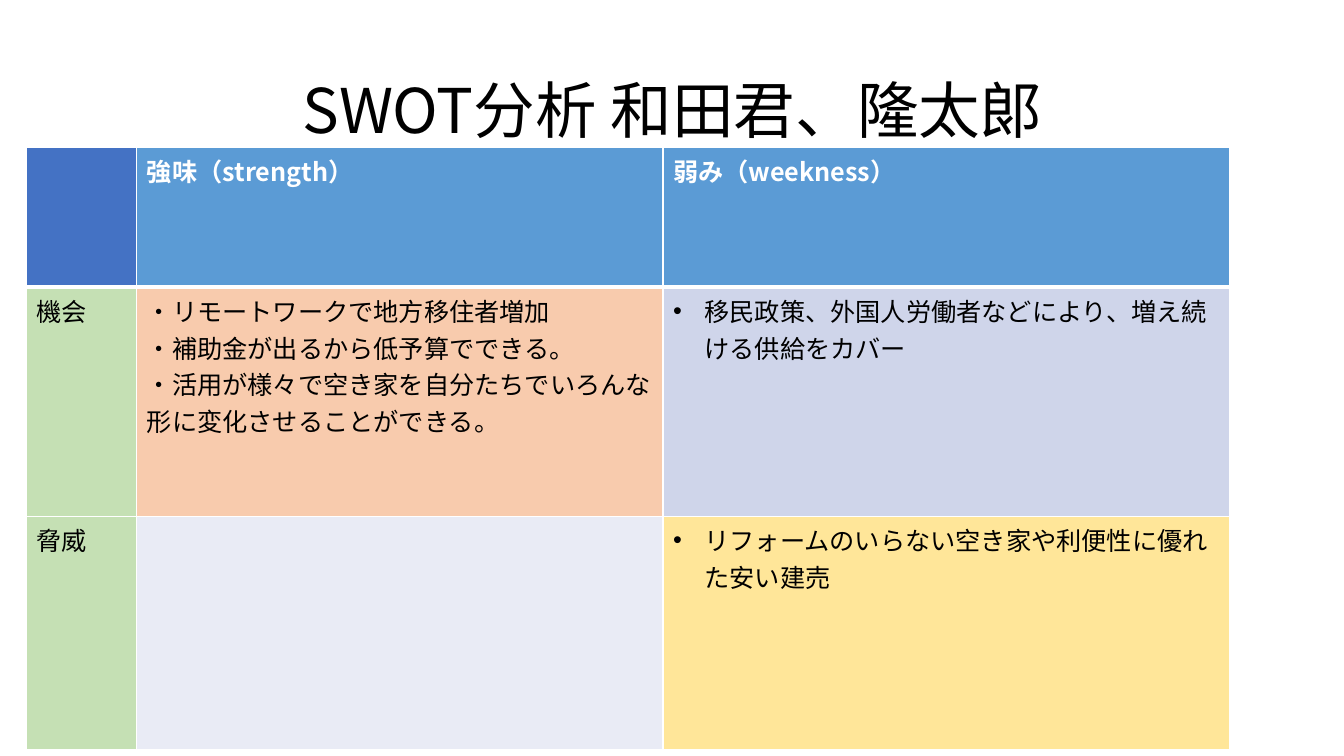
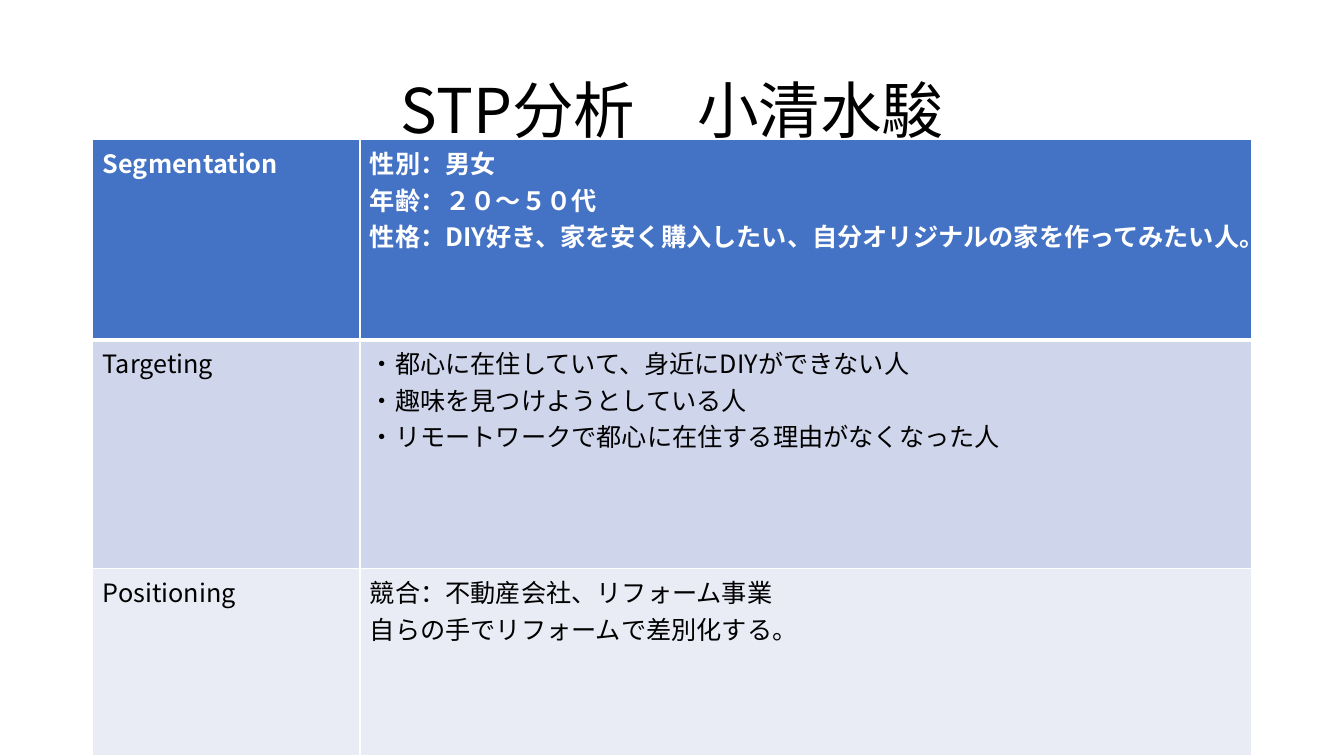
"""Build the SWOT and STP analysis slides."""
from dataclasses import dataclass

from lxml.etree import SubElement
from pptx import Presentation
from pptx.dml.color import RGBColor
from pptx.enum.text import MSO_ANCHOR, PP_ALIGN
from pptx.oxml.ns import qn
from pptx.util import Cm, Pt


@dataclass(frozen=True)
class Theme:
    font: str = "Noto Sans CJK JP"
    title_pt: int = 44
    body_pt: int = 18
    rule_pt: int = 1
    header_rule_pt: int = 3
    black: str = "000000"
    white: str = "FFFFFF"
    blue: str = "4472C4"
    sky: str = "5B9BD5"
    green: str = "C5E0B4"
    peach: str = "F8CBAD"
    yellow: str = "FFE699"
    band: str = "CFD5EA"
    pale: str = "E9EBF5"


T = Theme()
SLIDE_SIZE = (33.87, 19.05)
TITLE_BOX = (2.34, 1.02, 29.21, 3.68)
BULLET_INDENT = 0.79
BULLET = "• "

SLIDES = [
    {
        "title": "SWOT分析 和田君、隆太郎",
        "at": (0.66, 3.71),
        "cols": (2.79, 13.26, 14.27),
        "rows": (3.53, 5.77, 5.89),
        "cells": [
            [(T.blue, []), (T.sky, ["強味（strength）"]), (T.sky, ["弱み（weekness）"])],
            [
                (T.green, ["機会"]),
                (T.peach, [
                    "・リモートワークで地方移住者増加",
                    "・補助金が出るから低予算でできる。",
                    "・活用が様々で空き家を自分たちでいろんな形に変化させることができる。",
                ]),
                (T.band, ["• 移民政策、外国人労働者などにより、増え続ける供給をカバー"]),
            ],
            [
                (T.green, ["脅威"]),
                (T.pale, []),
                (T.yellow, ["• リフォームのいらない空き家や利便性に優れた安い建売"]),
            ],
        ],
    },
    {
        "title": "STP分析　小清水駿",
        "at": (2.34, 3.51),
        "cols": (6.73, 22.48),
        "rows": (5.05, 5.77, 4.72),
        "cells": [
            [
                (T.blue, ["Segmentation"]),
                (T.blue, [
                    "性別：男女",
                    "年齢：２０～５０代",
                    "性格：DIY好き、家を安く購入したい、自分オリジナルの家を作ってみたい人。",
                ]),
            ],
            [
                (T.band, ["Targeting"]),
                (T.band, [
                    "・都心に在住していて、身近にDIYができない人",
                    "・趣味を見つけようとしている人",
                    "・リモートワークで都心に在住する理由がなくなった人",
                ]),
            ],
            [
                (T.pale, ["Positioning"]),
                (T.pale, ["競合：不動産会社、リフォーム事業", "自らの手でリフォームで差別化する。"]),
            ],
        ],
    },
]


def add_text(p, text, size, color, bold=False):
    r = p.add_run()
    r.text = text
    r.font.name = T.font
    r.font.size = Pt(size)
    r.font.bold = bold
    r.font.color.rgb = RGBColor.from_string(color)
    SubElement(r.font._element, qn("a:ea"), typeface=T.font)


def add_bullet(p):
    pPr = p._p.get_or_add_pPr()
    pPr.set("marL", str(Cm(BULLET_INDENT)))
    pPr.set("indent", str(-Cm(BULLET_INDENT)))
    SubElement(pPr, qn("a:buFont"), typeface="Arial")
    SubElement(pPr, qn("a:buChar"), char=BULLET.strip())


def add_borders(cell, row):
    widths = {
        "L": T.rule_pt,
        "R": T.rule_pt,
        "T": T.header_rule_pt if row == 1 else T.rule_pt,
        "B": T.header_rule_pt if row == 0 else T.rule_pt,
    }
    tcPr = cell._tc.get_or_add_tcPr()
    for side, width in widths.items():
        ln = SubElement(tcPr, qn(f"a:ln{side}"), w=str(Pt(width)))
        fill = SubElement(ln, qn("a:solidFill"))
        SubElement(fill, qn("a:srgbClr"), val=T.white)


def fill_cell(cell, row, color, lines):
    add_borders(cell, row)
    cell.fill.solid()
    cell.fill.fore_color.rgb = RGBColor.from_string(color)
    header = row == 0
    tf = cell.text_frame
    for i, line in enumerate(lines):
        p = tf.add_paragraph() if i else tf.paragraphs[0]
        if line.startswith(BULLET):
            add_bullet(p)
        add_text(p, line.removeprefix(BULLET), T.body_pt,
                 T.white if header else T.black, header)


def add_title(s, text):
    sp = s.shapes.title
    sp.left, sp.top, sp.width, sp.height = map(Cm, TITLE_BOX)
    tf = sp.text_frame
    tf.vertical_anchor = MSO_ANCHOR.MIDDLE
    p = tf.paragraphs[0]
    p.alignment = PP_ALIGN.CENTER
    p.line_spacing = 0.9
    add_text(p, text, T.title_pt, T.black)


def add_grid(s, at, cols, rows, cells):
    box = map(Cm, (*at, sum(cols), sum(rows)))
    table = s.shapes.add_table(len(rows), len(cols), *box).table
    for column, width in zip(table.columns, cols):
        column.width = Cm(width)
    for i, (height, row) in enumerate(zip(rows, cells)):
        table.rows[i].height = Cm(height)
        for j, (color, lines) in enumerate(row):
            fill_cell(table.cell(i, j), i, color, lines)


def main():
    prs = Presentation()
    prs.slide_width, prs.slide_height = map(Cm, SLIDE_SIZE)
    for page in SLIDES:
        s = prs.slides.add_slide(prs.slide_layouts[5])
        add_title(s, page["title"])
        add_grid(s, page["at"], page["cols"], page["rows"], page["cells"])
    prs.save("out.pptx")


if __name__ == "__main__":
    main()
